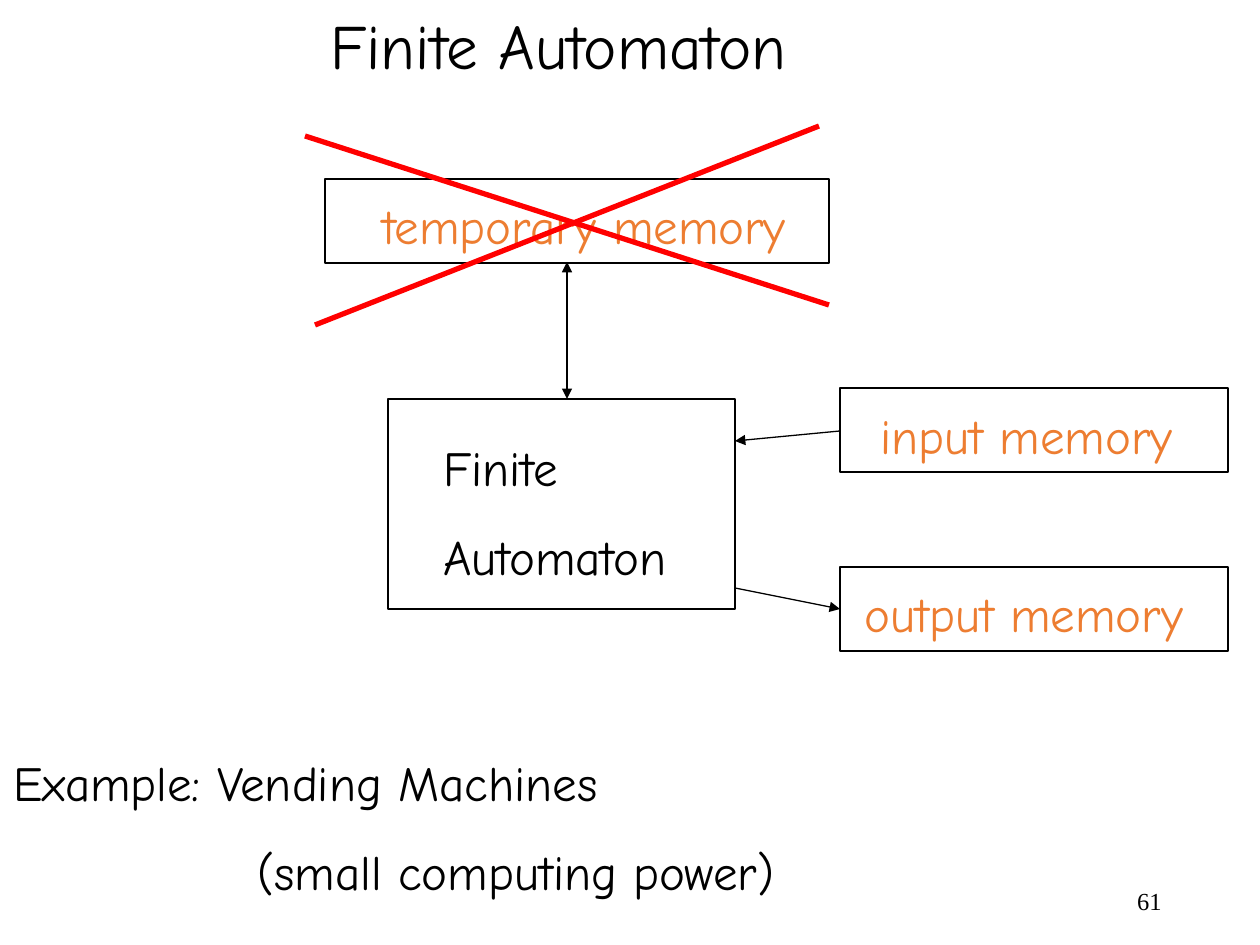
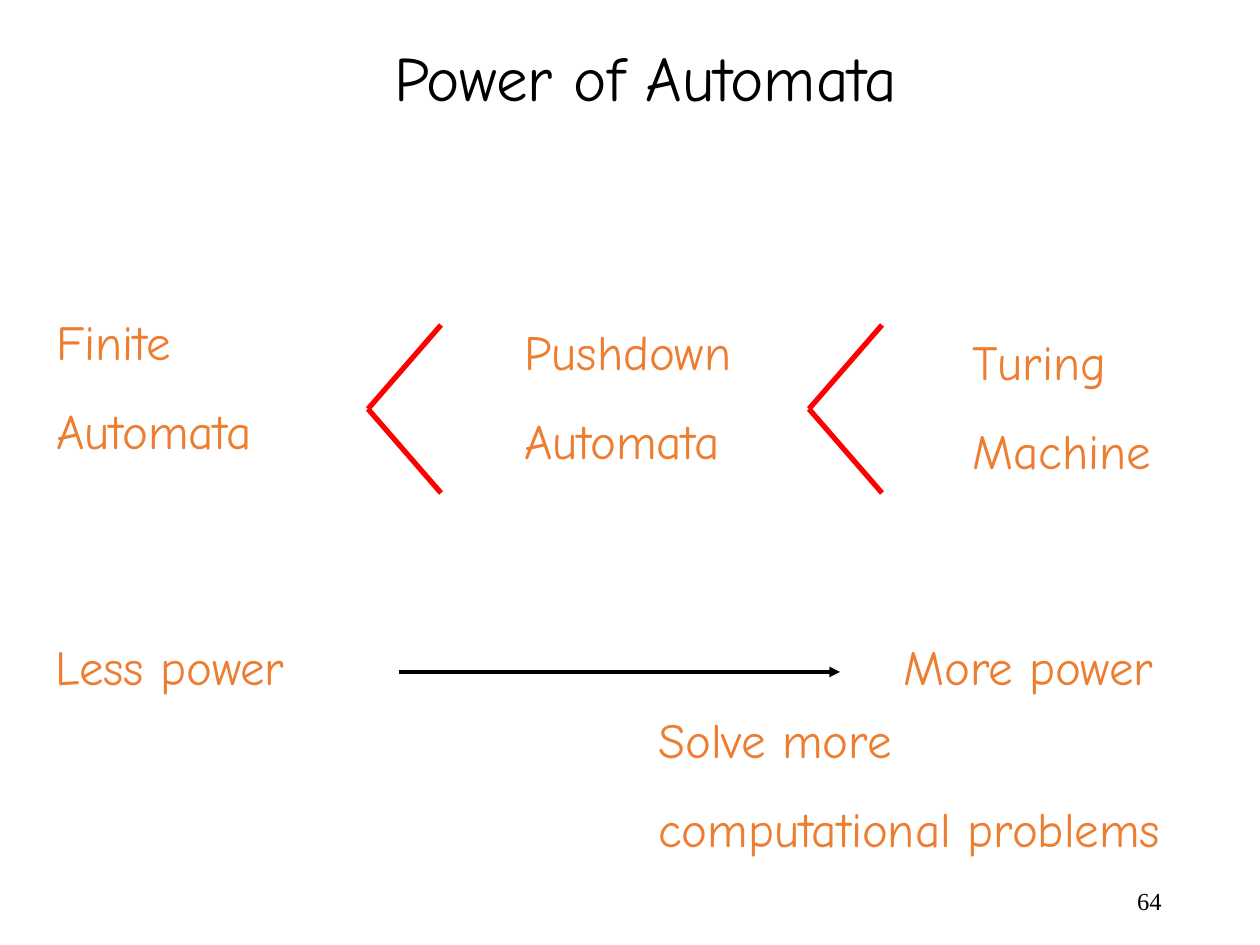
from pptx import Presentation
from pptx.dml.color import RGBColor
from pptx.enum.shapes import MSO_CONNECTOR, MSO_SHAPE
from pptx.enum.text import MSO_ANCHOR, MSO_AUTO_SIZE, PP_ALIGN
from pptx.oxml.ns import qn
from pptx.util import Emu, Pt
from lxml.etree import SubElement

BLACK = RGBColor(0x00, 0x00, 0x00)
ORANGE = RGBColor(0xED, 0x7D, 0x31)
RED = RGBColor(0xFF, 0x00, 0x00)
FACE = "Comic Neue"
SCALE = 914400 / 126  # EMU in one px

# Text: left, top, width, colour, lines
# Lines: x1, y1, x2, y2, colour, points, arrowheads at start and end
PARTS = [
    dict(
        title=("Finite Automaton", 318, 0, 486),
        number="61",
        boxes=[(325, 179, 504, 84), (840, 388, 388, 84),
               (840, 567, 388, 84), (388, 399, 347, 210)],
        texts=[
            (868, 399, 318, ORANGE, ["input memory"]),
            (852, 577, 344, ORANGE, ["output memory"]),
            (370, 189, 431, ORANGE, ["temporary memory"]),
            (431, 431, 251, BLACK, ["Finite", "Automaton"]),
            (1, 746, 789, BLACK,
             ["Example: Vending Machines", "(small computing power)"]),
        ],
        indent=244,
        lines=[
            (567, 262, 567, 399, BLACK, 0.75, True, True),
            (735, 441, 840, 431, BLACK, 0.75, True, False),
            (735, 588, 840, 609, BLACK, 0.75, False, True),
            (305, 136, 829, 305, RED, 3, False, False),
            (315, 325, 819, 126, RED, 3, False, False),
        ],
        signs=[],
    ),
    dict(
        title=("Power of Automata", 382, 32, 536),
        number="64",
        boxes=[],
        texts=[
            (44, 305, 223, ORANGE, ["Finite", "Automata"]),
            (512, 315, 232, ORANGE, ["Pushdown", "Automata"]),
            (960, 325, 204, ORANGE, ["Turing", "Machine"]),
            (43, 630, 256, ORANGE, ["Less power"]),
            (891, 630, 277, ORANGE, ["More power"]),
            (646, 703, 529, ORANGE, ["Solve more", "computational problems"]),
        ],
        lines=[(399, 672, 840, 672, BLACK, 2, False, True)],
        signs=[(368, 409), (809, 409)],  # tips of the less-than signs
    ),
]
ARM = (73, 84)  # reach of each arm of a sign


def px(*nums):
    return [Emu(round(n * SCALE)) for n in nums]


def add_text(slide, left, top, width, color, rows, size=28, indent=0):
    high = 88 if size == 36 else 72 + 89 * (len(rows) - 1)
    frame = slide.shapes.add_textbox(*px(left, top, width, high)).text_frame
    frame.word_wrap = False
    frame.auto_size = MSO_AUTO_SIZE.SHAPE_TO_FIT_TEXT
    for i, row in enumerate(rows):
        para = frame.paragraphs[0] if i == 0 else frame.add_paragraph()
        para.text = row
        if i:
            para.space_before = Pt(17.5)
            if indent:
                para._p.get_or_add_pPr().set("marL", str(px(indent)[0]))
        style(para, FACE, size, color)


def style(para, face, size, color):
    para.font.name = face
    para.font.size = Pt(size)
    para.font.color.rgb = color


def add_box(slide, *spot):
    box = slide.shapes.add_shape(MSO_SHAPE.RECTANGLE, *px(*spot))
    box.shadow.inherit = False
    box.fill.background()
    box.line.color.rgb = BLACK
    box.line.width = Pt(0.75)


def add_line(slide, x1, y1, x2, y2, color, width, head=False, tail=False):
    line = slide.shapes.add_connector(MSO_CONNECTOR.STRAIGHT, *px(x1, y1, x2, y2))
    line.line.color.rgb = color
    line.line.width = Pt(width)
    stroke = line.line._get_or_add_ln()
    for tag, on in (("a:headEnd", head), ("a:tailEnd", tail)):
        if on:
            SubElement(stroke, qn(tag), type="triangle")
    SubElement(line._element.spPr, qn("a:effectLst"))


def add_number(slide, text):
    frame = slide.shapes.add_textbox(*px(890, 876, 284, 50)).text_frame
    frame.word_wrap = True
    frame.vertical_anchor = MSO_ANCHOR.MIDDLE
    para = frame.paragraphs[0]
    para.text = text
    para.alignment = PP_ALIGN.RIGHT
    style(para, "Times New Roman", 14, BLACK)


def build(slide, part):
    add_number(slide, part["number"])
    for box in part["boxes"]:
        add_box(slide, *box)
    for text in part["texts"]:
        # Only the example's second line is indented
        last = text is part["texts"][-1]
        add_text(slide, *text, indent=part.get("indent", 0) if last else 0)
    title, left, top, width = part["title"]
    add_text(slide, left, top, width, BLACK, [title], size=36)
    for line in part["lines"]:
        add_line(slide, *line)
    for x, y in part["signs"]:
        for way in (-1, 1):
            add_line(slide, x, y, x + ARM[0], y + way * ARM[1], RED, 3)


def main():
    deck = Presentation()
    deck.slide_width, deck.slide_height = px(1260, 945)
    for part in PARTS:
        build(deck.slides.add_slide(deck.slide_layouts[6]), part)
    deck.save("out.pptx")


if __name__ == "__main__":
    main()
